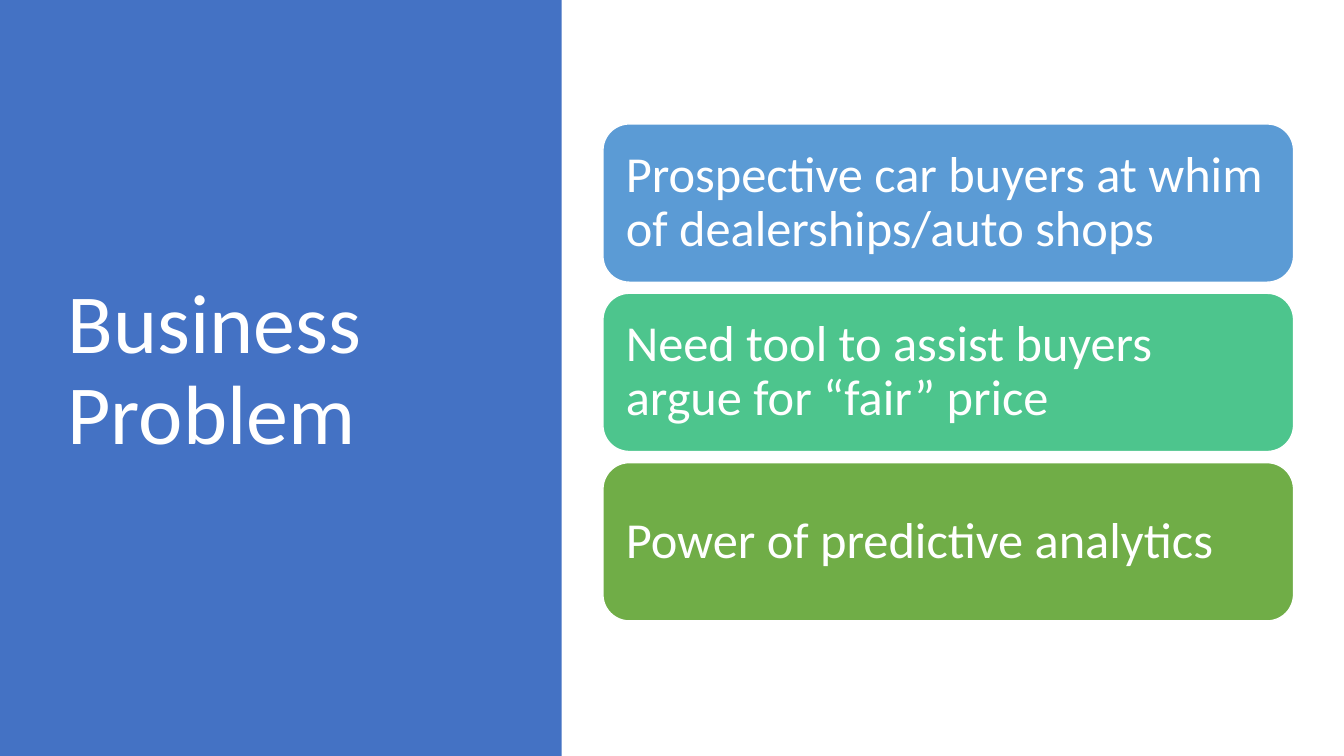
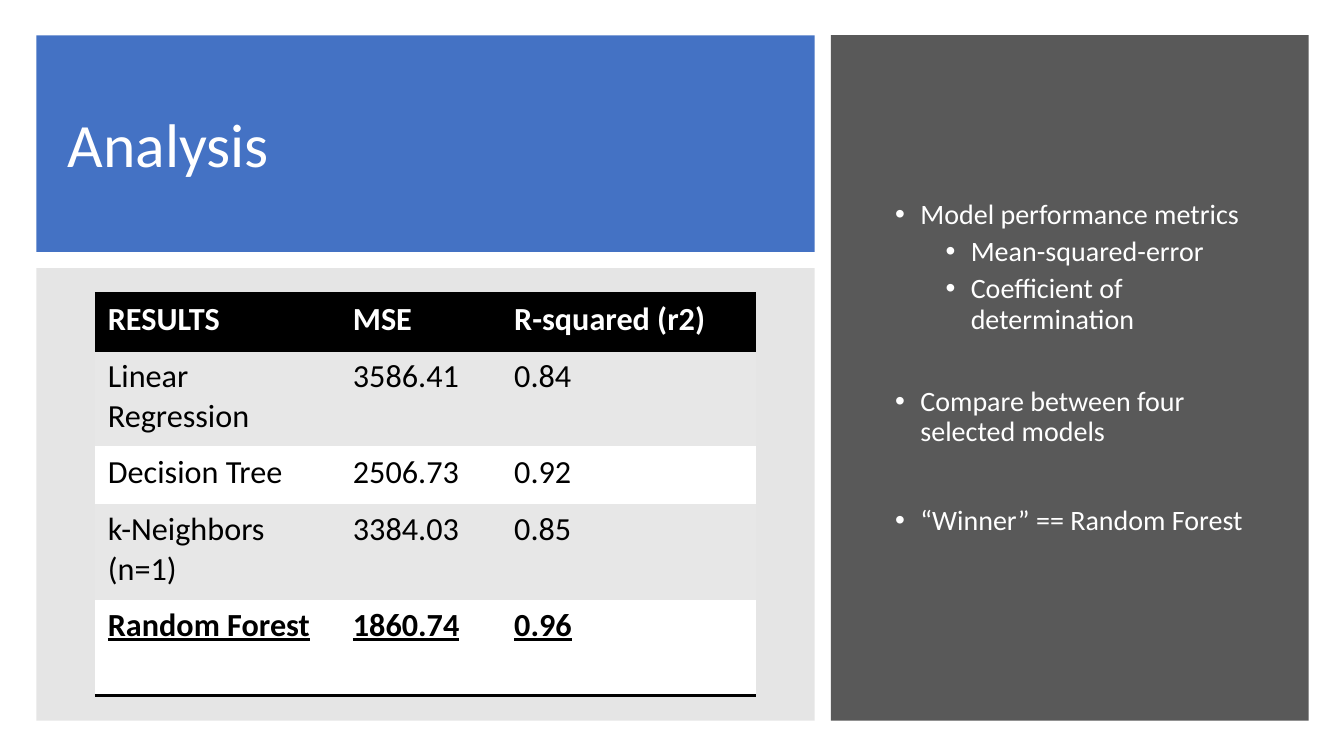
from dataclasses import dataclass

from lxml import etree
from pptx import Presentation
from pptx.dml.color import RGBColor
from pptx.enum import shapes, text
from pptx.oxml import ns
from pptx.util import Inches, Pt


@dataclass(frozen=True)
class Theme:
    font: str = "Calibri"
    blue: str = "4472C4"
    sky: str = "5B9BD5"
    teal: str = "4DC58D"
    green: str = "70AD47"
    charcoal: str = "595959"
    grey: str = "7F7F7F"
    band: str = "E7E7E7"
    white: str = "FFFFFF"
    black: str = "000000"
    opening_title: int = 60
    title: int = 44
    card: int = 36
    table: int = 23
    bullet: int = 20


@dataclass(frozen=True)
class Box:
    left: float
    top: float
    width: float
    height: float

    def lengths(self) -> tuple:
        return tuple(map(Inches, (self.left, self.top, self.width, self.height)))


@dataclass(frozen=True)
class Card:
    message: str
    color: str


@dataclass(frozen=True)
class Bullet:
    message: str
    level: int = 0
    before: int = 0


THEME = Theme()
LINE_SPACING = 0.9
NO_STYLE_TABLE = "{2D5ABB26-0587-4C30-8999-92F81FD0307C}"

CARDS = (
    Card("Prospective car buyers at whim of dealerships/auto shops", THEME.sky),
    Card("Need tool to assist buyers argue for “fair” price", THEME.teal),
    Card("Power of predictive analytics", THEME.green),
)
BULLETS = (
    Bullet("Model performance metrics"),
    Bullet("Mean-squared-error", 1, 5),
    Bullet("Coefficient of determination", 1, 5),
    Bullet("Compare between four selected models", 0, 37),
    Bullet("“Winner” == Random Forest", 0, 42),
)
RESULTS = (
    ("RESULTS", "MSE", "R-squared (r2)"),
    ("Linear Regression", "3586.41", "0.84"),
    ("Decision Tree", "2506.73", "0.92"),
    ("k-Neighbors\n(n=1)", "3384.03", "0.85"),
    ("Random Forest", "1860.74", "0.96"),
)
COLUMN_WIDTHS = (2.43, 1.6, 2.53)
ROW_HEIGHTS = (0.57, 0.95, 0.57, 0.95, 0.95)


def rgb(color: str) -> RGBColor:
    return RGBColor.from_string(color)


def format_runs(paragraph, size: int, color: str, bold: bool = False,
                underline: bool = False) -> None:
    for run in paragraph.runs:
        run.font.name = THEME.font
        run.font.size = Pt(size)
        run.font.bold = bold
        run.font.underline = underline
        run.font.color.rgb = rgb(color)


def set_insets(target, horizontal: float, vertical: float) -> None:
    target.margin_left = target.margin_right = Inches(horizontal)
    target.margin_top = target.margin_bottom = Inches(vertical)


def fill_frame(frame, message: str, size: int) -> None:
    frame.text = message
    frame.word_wrap = True
    frame.auto_size = text.MSO_AUTO_SIZE.NONE
    frame.vertical_anchor = text.MSO_ANCHOR.MIDDLE
    for paragraph in frame.paragraphs:
        paragraph.alignment = text.PP_ALIGN.LEFT
        paragraph.line_spacing = LINE_SPACING
        format_runs(paragraph, size, THEME.white)


def add_panel(slide, box: Box, color: str, kind=shapes.MSO_SHAPE.RECTANGLE):
    panel = slide.shapes.add_shape(kind, *box.lengths())
    panel.shadow.inherit = False
    panel.fill.solid()
    panel.fill.fore_color.rgb = rgb(color)
    panel.line.fill.background()
    return panel


def set_opacity(panel, percent: int) -> None:
    color = panel._element.spPr.find(f".//{ns.qn('a:srgbClr')}")
    etree.SubElement(color, ns.qn("a:alpha"), val=str(percent * 1000))


def add_titled_slide(deck, title: str, box: Box, size: int, panel: Box):
    slide = deck.slides.add_slide(deck.slide_layouts[5])
    add_panel(slide, panel, THEME.blue)
    heading = slide.shapes.title
    heading.left, heading.top, heading.width, heading.height = box.lengths()
    fill_frame(heading.text_frame, title, size)
    heading._element.getparent().append(heading._element)
    return slide


def add_cards(slide, first: Box, pitch: float) -> None:
    for index, card in enumerate(CARDS):
        box = Box(first.left, first.top + index * pitch, first.width, first.height)
        panel = add_panel(slide, box, card.color, shapes.MSO_SHAPE.ROUNDED_RECTANGLE)
        panel.line.color.rgb = rgb(THEME.white)
        panel.line.width = Pt(1)
        set_insets(panel.text_frame, 0.15, 0.15)
        fill_frame(panel.text_frame, card.message, THEME.card)


def add_bullets(slide, box: Box) -> None:
    frame = slide.shapes.add_textbox(*box.lengths()).text_frame
    fill_frame(frame, "\n".join(bullet.message for bullet in BULLETS), THEME.bullet)
    for paragraph, bullet in zip(frame.paragraphs, BULLETS):
        paragraph.level = bullet.level
        properties = paragraph._p.get_or_add_pPr()
        properties.set("marL", str(Inches(0.25 + 0.5 * bullet.level)))
        properties.set("indent", str(Inches(-0.25)))
        if bullet.before:
            paragraph.space_before = Pt(bullet.before)
        etree.SubElement(properties, ns.qn("a:buFont"), typeface="Arial")
        etree.SubElement(properties, ns.qn("a:buChar"), char="•")


def add_border(cell, side: str) -> None:
    line = etree.Element(ns.qn(f"a:{side}"), w=str(Pt(2)))
    fill = etree.SubElement(line, ns.qn("a:solidFill"))
    etree.SubElement(fill, ns.qn("a:srgbClr"), val=THEME.black)
    properties = cell._tc.get_or_add_tcPr()
    position = len(properties.findall(ns.qn("a:lnT")))
    properties.insert(position, line)


def add_results(slide, box: Box) -> None:
    table = slide.shapes.add_table(len(RESULTS), len(COLUMN_WIDTHS), *box.lengths()).table
    table.horz_banding = False
    table._tbl.tblPr.find(ns.qn("a:tableStyleId")).text = NO_STYLE_TABLE
    for column, width in zip(table.columns, COLUMN_WIDTHS):
        column.width = Inches(width)
    for row, height in zip(table.rows, ROW_HEIGHTS):
        row.height = Inches(height)
    last = len(RESULTS) - 1
    for row_index, values in enumerate(RESULTS):
        header, winner = row_index == 0, row_index == last
        banded = THEME.band if row_index % 2 else THEME.white
        for column_index, value in enumerate(values):
            cell = table.cell(row_index, column_index)
            cell.text = value
            set_insets(cell, 0.13, 0.06)
            cell.fill.solid()
            cell.fill.fore_color.rgb = rgb(THEME.black if header else banded)
            for paragraph in cell.text_frame.paragraphs:
                format_runs(paragraph, THEME.table, THEME.white if header else THEME.black,
                            bold=header or winner, underline=winner)
            if header:
                add_border(cell, "lnT")
            if header or winner:
                add_border(cell, "lnB")


def build_problem(deck) -> None:
    slide = add_titled_slide(deck, "Business Problem", Box(0.57, 0.68, 4.16, 6.02),
                             THEME.opening_title, Box(0, 0, 5.57, 7.5))
    add_cards(slide, Box(5.98, 1.23, 6.85, 1.57), 1.68)


def build_analysis(deck) -> None:
    slide = add_titled_slide(deck, "Analysis", Box(0.57, 0.57, 7.21, 1.78),
                             THEME.title, Box(0.36, 0.35, 7.72, 2.15))
    set_opacity(add_panel(slide, Box(0.36, 2.66, 7.72, 4.49), THEME.grey), 20)
    add_panel(slide, Box(8.24, 0.35, 4.74, 6.8), THEME.charcoal)
    add_bullets(slide, Box(8.78, 1, 3.75, 5.31))
    add_results(slide, Box(0.94, 2.91, sum(COLUMN_WIDTHS), sum(ROW_HEIGHTS)))


def main() -> None:
    deck = Presentation()
    deck.slide_width, deck.slide_height = Inches(13.33), Inches(7.5)
    build_problem(deck)
    build_analysis(deck)
    deck.save("out.pptx")


if __name__ == "__main__":
    main()
